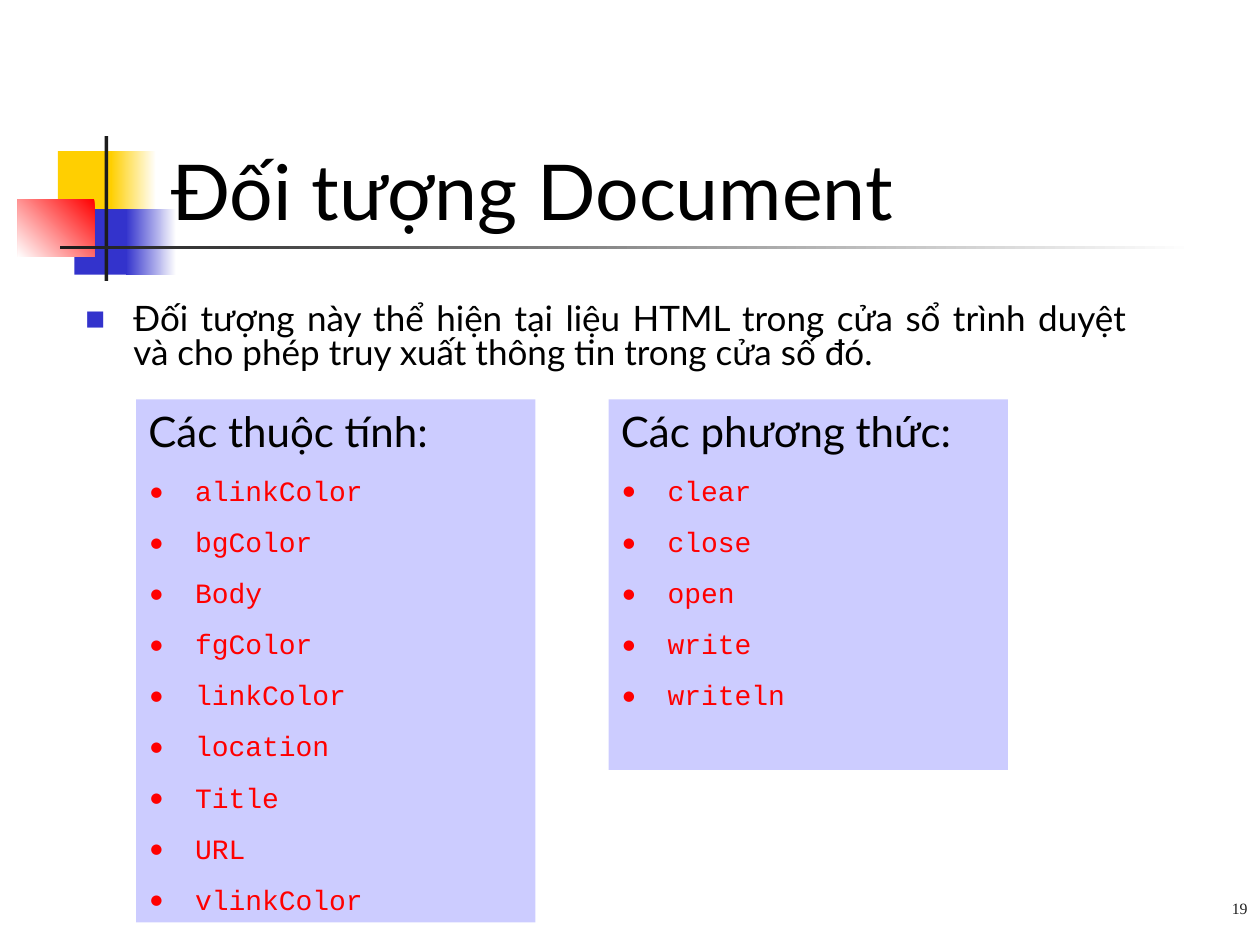
from lxml import etree
from pptx import Presentation
from pptx import util as u
from pptx.dml.color import RGBColor
from pptx.enum import shapes, text
from pptx.oxml.ns import qn

THEME = {
    "black": "000000", "white": "FFFFFF", "ink": "1C1C1C", "yellow": "FFCF01",
    "blue": "3333CC", "red": "FF0000", "panel": "CCCCFF",
    "title": {"name": "Lato", "size": 44, "color": "black"},
    "body": {"name": "Lato", "size": 20, "color": "black"},
    "heading": {"name": "Lato", "size": 24, "color": "black"},
    "code": {"name": "Courier New", "size": 16, "color": "red"},
    "number": {"name": "Times New Roman", "size": 9, "color": "ink"},
}
TITLE = "Đối tượng Document"
INTRO = ("Đối tượng này thể hiện tại liệu HTML trong cửa sổ trình duyệt "
         "và cho phép truy xuất thông tin trong cửa số đó.")
PANELS = [  # heading, members, height
    ("Các thuộc tính:", ["alinkColor", "bgColor", "Body", "fgColor", "linkColor",
                         "location", "Title", "URL", "vlinkColor"], 4.15),
    ("Các phương thức:", ["clear", "close", "open", "write", "writeln"], 2.94),
]
PAGE_NUMBER = "19"
DECORATION = [  # box, colours from first to last stop, clockwise angle
    ((0.46, 1.2, 0.48, 0.52), ["yellow"], 0),
    ((0.88, 1.2, 0.36, 0.52), ["white", "yellow"], 180),
    ((0.59, 1.66, 0.46, 0.52), ["blue"], 0),
    ((1, 1.66, 0.4, 0.52), ["white", "blue"], 180),
    ((0.14, 1.58, 0.61, 0.46), ["red", "white"], 135),
    ((0.83, 1.08, 0.03, 1.15), ["ink"], 0),
    ((0.48, 1.95, 9, 0.03), ["white", "ink"], 180),
]
PANEL_LEFT, PANEL_TOP, PANEL_WIDTH, PANEL_GAP = 1.08, 3.17, 3.17, 0.58


def color(name):
    return RGBColor.from_string(THEME[name])


def add_rectangle(slide, box, colors, angle=0):
    shape = slide.shapes.add_shape(shapes.MSO_SHAPE.RECTANGLE, *map(u.Inches, box))
    shape.shadow.inherit = False
    shape.line.fill.background()
    if len(colors) == 1:
        shape.fill.solid()
        shape.fill.fore_color.rgb = color(colors[0])
    else:
        shape.fill.gradient()
        shape.fill.gradient_angle = 360 - angle
        for stop, name, position in zip(shape.fill.gradient_stops, colors, (0, 1)):
            stop.color.rgb = color(name)
            stop.position = position
    return shape


def prepare_frame(shape, anchor=text.MSO_ANCHOR.TOP):
    frame = shape.text_frame
    frame.word_wrap = True
    frame.vertical_anchor = anchor
    return frame


def add_text_box(slide, box, anchor=text.MSO_ANCHOR.TOP):
    return prepare_frame(slide.shapes.add_textbox(*map(u.Inches, box)), anchor)


def write(paragraph, words, style, **formats):
    run = paragraph.add_run()
    run.text = words
    look = THEME[style]
    run.font.name = look["name"]
    run.font.size = u.Pt(look["size"])
    run.font.color.rgb = color(look["color"])
    for name, value in ({"alignment": text.PP_ALIGN.LEFT} | formats).items():
        setattr(paragraph, name, value)


def add_bullet(paragraph, mark, color_name, indent, percent=100):
    """Give the paragraph a coloured bullet and a hanging indent in inches."""
    properties = paragraph._p.get_or_add_pPr()
    properties.set("marL", str(u.Inches(indent)))
    properties.set("indent", str(u.Inches(-indent)))
    bullet_color = etree.SubElement(properties, qn("a:buClr"))
    etree.SubElement(bullet_color, qn("a:srgbClr"), val=THEME[color_name])
    etree.SubElement(properties, qn("a:buSzPct"), val=str(percent * 1000))
    etree.SubElement(properties, qn("a:buFont"), typeface="Lato")
    etree.SubElement(properties, qn("a:buChar"), char=mark)


def add_panel(slide, box, heading, members):
    frame = prepare_frame(add_rectangle(slide, box, ["panel"]))
    write(frame.paragraphs[0], heading, "heading")
    for member in members:
        paragraph = frame.add_paragraph()
        write(paragraph, member, "code", space_before=u.Pt(10))
        add_bullet(paragraph, "•", "red", 0.37)


def main():
    presentation = Presentation()
    presentation.slide_width, presentation.slide_height = u.Inches(10), u.Inches(7.5)
    slide = presentation.slides.add_slide(presentation.slide_layouts[6])

    for box, colors, angle in DECORATION:
        add_rectangle(slide, box, colors, angle)

    title = add_text_box(slide, (1.26, 0.67, 8.52, 1.25), text.MSO_ANCHOR.BOTTOM)
    write(title.paragraphs[0], TITLE, "title")

    intro = add_text_box(slide, (0.58, 2.37, 8.46, 1.38)).paragraphs[0]
    write(intro, INTRO, "body", alignment=text.PP_ALIGN.JUSTIFY, line_spacing=0.8)
    add_bullet(intro, "■", "blue", 0.38, 60)

    for column, (heading, members, height) in enumerate(PANELS):
        left = PANEL_LEFT + column * (PANEL_WIDTH + PANEL_GAP)
        add_panel(slide, (left, PANEL_TOP, PANEL_WIDTH, height), heading, members)

    number = add_text_box(slide, (5.58, 6.83, 4.42, 0.5), text.MSO_ANCHOR.BOTTOM)
    write(number.paragraphs[0], PAGE_NUMBER, "number", alignment=text.PP_ALIGN.RIGHT)
    presentation.save("out.pptx")


if __name__ == "__main__":
    main()
